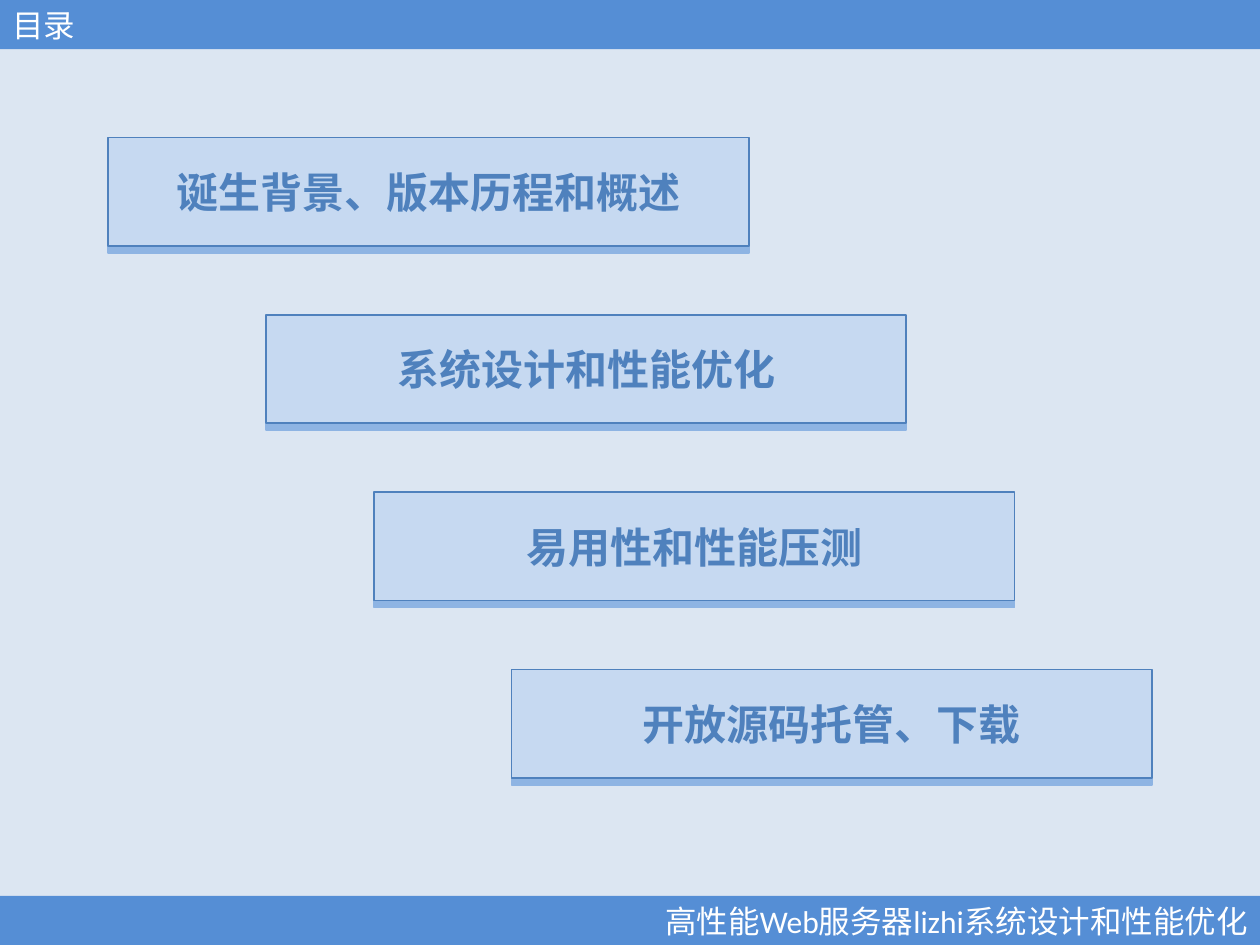
"""Build a table-of-contents slide with four stepped section boxes."""
from lxml.etree import SubElement
from pptx import Presentation
from pptx.dml.color import RGBColor
from pptx.enum.shapes import MSO_SHAPE
from pptx.enum.text import MSO_ANCHOR, PP_ALIGN
from pptx.oxml.ns import qn
from pptx.util import Pt

HEADER = "目录"
FOOTER = "高性能Web服务器lizhi系统设计和性能优化"
SECTIONS = [
    ("诞生背景、版本历程和概述", 61.9),
    ("系统设计和性能优化", 151.9),
    ("易用性和性能压测", 213.8),
    ("开放源码托管、下载", 292.3),
]
SLIDE_WIDTH, SLIDE_HEIGHT = 720, 540
BAR_HEIGHT = 28.1
SECTION_WIDTH, SECTION_HEIGHT = 366, 62
FIRST_TOP, SECTION_STEP = 78.6, 101.3
BACKGROUND, BAR_FILL, BAR_TEXT = "DCE6F2", "558ED5", "FFFFFF"
SECTION_FILL, SECTION_ACCENT, SECTION_SHADOW = "C6D9F1", "4F81BD", "8EB4E3"


def color(value):
    return RGBColor.from_string(value)


def add_box(slide, text, bounds, fill, text_color, size, align):
    box = slide.shapes.add_shape(MSO_SHAPE.RECTANGLE, *map(Pt, bounds))
    box.shadow.inherit = False
    box.fill.solid()
    box.fill.fore_color.rgb = color(fill)
    box.line.fill.background()
    box.text_frame.vertical_anchor = MSO_ANCHOR.MIDDLE
    paragraph = box.text_frame.paragraphs[0]
    paragraph.text = text
    paragraph.alignment = align
    paragraph.font.name = "Calibri"
    paragraph.font.size = Pt(size)
    paragraph.font.color.rgb = color(text_color)
    return box


def add_bar(slide, text, top, align):
    add_box(slide, text, (0, top, SLIDE_WIDTH, BAR_HEIGHT), BAR_FILL, BAR_TEXT, 18, align)


def add_drop_shadow(box, shade, distance):
    effects = box.shadow._element.find(qn("a:effectLst"))
    shadow = SubElement(effects, qn("a:outerShdw"), blurRad="0", dist=str(Pt(distance)),
                        dir="5400000", algn="ctr", rotWithShape="0")
    SubElement(shadow, qn("a:srgbClr"), val=shade)


def add_section(slide, text, left, top):
    section = add_box(slide, text, (left, top, SECTION_WIDTH, SECTION_HEIGHT),
                      SECTION_FILL, SECTION_ACCENT, 24, PP_ALIGN.CENTER)
    section.text_frame.paragraphs[0].font.bold = True
    section.line.color.rgb = color(SECTION_ACCENT)
    section.line.width = Pt(1)
    add_drop_shadow(section, SECTION_SHADOW, 4)


def main():
    deck = Presentation()
    deck.slide_width, deck.slide_height = Pt(SLIDE_WIDTH), Pt(SLIDE_HEIGHT)
    slide = deck.slides.add_slide(deck.slide_layouts[6])
    slide.background.fill.solid()
    slide.background.fill.fore_color.rgb = color(BACKGROUND)
    add_bar(slide, HEADER, 0, PP_ALIGN.LEFT)
    add_bar(slide, FOOTER, SLIDE_HEIGHT - BAR_HEIGHT, PP_ALIGN.RIGHT)
    for index, (title, left) in enumerate(SECTIONS):
        add_section(slide, title, left, FIRST_TOP + index * SECTION_STEP)
    deck.save("out.pptx")


if __name__ == "__main__":
    main()
